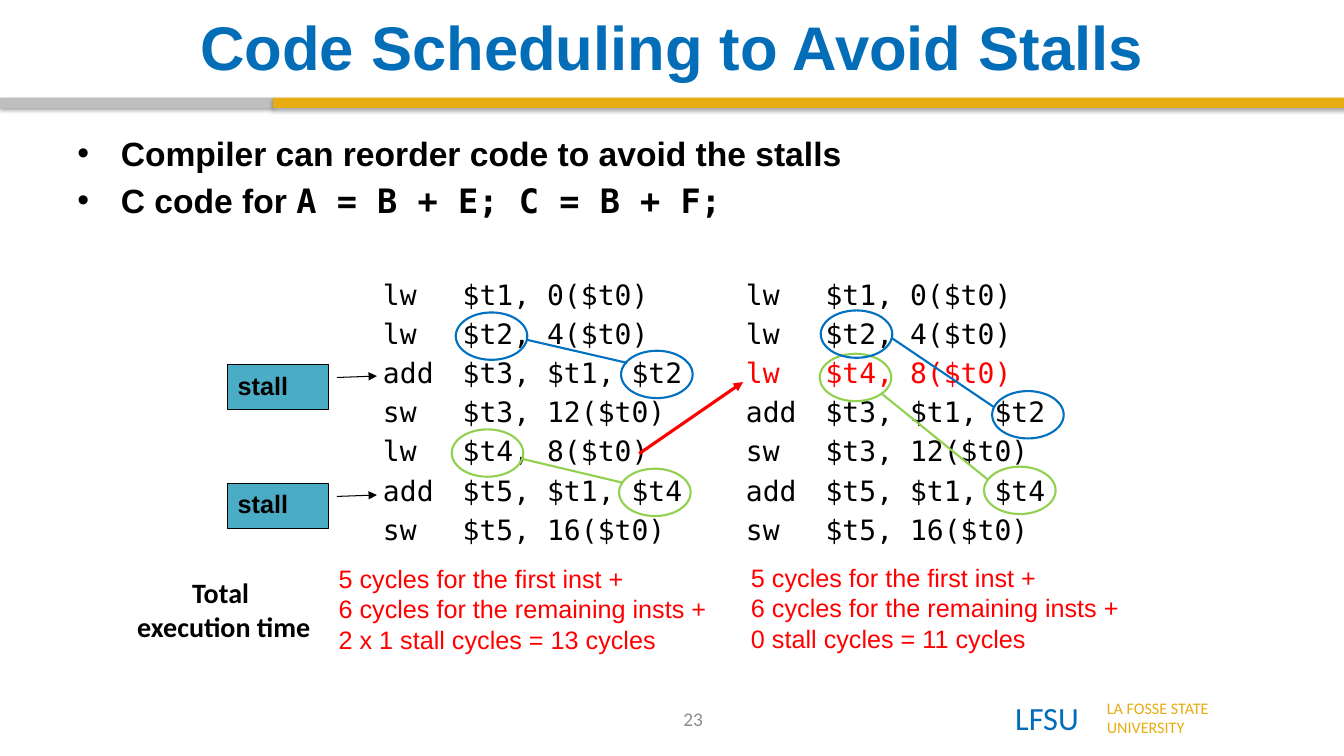
from lxml import etree
from pptx import Presentation
from pptx.dml.color import RGBColor
from pptx.enum.shapes import MSO_CONNECTOR, MSO_SHAPE
from pptx.enum.text import MSO_ANCHOR, PP_ALIGN
from pptx.oxml.ns import qn
from pptx.util import Inches, Pt

BLUE, GOLD, RED = "036DB7", "E7AC11", "FF0000"
RING_BLUE, RING_GREEN = "0070C0", "92D050"
MONO = "DejaVu Sans Mono"
RING_W, RING_H = 0.71, 0.47


def rgb(color):
    return RGBColor.from_string(color)


def add_xml(parent, tag, **attrs):
    return etree.SubElement(parent, qn(tag), attrs)


def style_run(r, size, color, font="Arial", bold=False):
    r.font.size, r.font.name, r.font.bold = Pt(size), font, bold
    r.font.color.rgb = rgb(color)


def add_text(s, box, lines, size, color, font="Arial", bold=False,
             align=PP_ALIGN.LEFT, anchor=MSO_ANCHOR.TOP, wrap=True):
    sp = s.shapes.add_textbox(*map(Inches, box))
    tf = sp.text_frame
    tf.text = "\n".join(lines)
    tf.word_wrap, tf.vertical_anchor = wrap, anchor
    for p in tf.paragraphs:
        p.alignment = align
        for r in p.runs:
            style_run(r, size, color, font, bold)
    return sp


def add_shape(s, kind, box, fill=None, line=None, width=1.5):
    sp = s.shapes.add_shape(kind, *map(Inches, box))
    sp.shadow.inherit = False
    if fill:
        sp.fill.solid()
        sp.fill.fore_color.rgb = rgb(fill)
    else:
        sp.fill.background()
    if line:
        sp.line.color.rgb, sp.line.width = rgb(line), Pt(width)
    else:
        sp.line.fill.background()
    return sp


def add_arrowhead(sp):
    add_xml(sp.line._get_or_add_ln(), "a:tailEnd", type="triangle")


def add_bar(s, left, width, color):
    sp = add_shape(s, MSO_SHAPE.RECTANGLE, (left, 0.97, width, 0.1), color)
    effects = sp._element.spPr.find(qn("a:effectLst"))
    shadow = add_xml(effects, "a:outerShdw", blurRad=str(Pt(3.1)), dist=str(Pt(1.8)),
                     dir="5400000", rotWithShape="0")
    black = add_xml(shadow, "a:srgbClr", val="000000")
    add_xml(black, "a:alpha", val="35000")


def add_line(s, start, end, color, width=1.5):
    line = s.shapes.add_connector(MSO_CONNECTOR.STRAIGHT, *map(Inches, start + end))
    line.line.color.rgb, line.line.width = rgb(color), Pt(width)
    add_xml(line._element.spPr, "a:effectLst")
    return line


def add_code(s, left, lines, moved=None):
    sp = add_text(s, (left, 2.7, 3.19, 2.86), lines, 20, "000000", MONO, wrap=False)
    sp.fill.solid()
    sp.fill.fore_color.rgb = rgb("FFFFFF")
    for i, p in enumerate(sp.text_frame.paragraphs):
        p.space_before = Pt(4)
        tabs = add_xml(p._p.get_or_add_pPr(), "a:tabLst")
        add_xml(tabs, "a:tab", pos=str(Inches(0.79)), algn="l")
        if i == moved:
            for r in p.runs:
                r.font.color.rgb = rgb(RED)


def add_stall(s, top):
    sp = add_shape(s, MSO_SHAPE.LINE_CALLOUT_1, (2.26, top, 1, 0.44), "4BACC6", "000000", 0.75)
    for i, value in enumerate((0.285, 1.083, 0.253, 1.479)):
        sp.adjustments[i] = value
    add_arrowhead(sp)
    tf = sp.text_frame
    tf.text = "stall"
    tf.vertical_anchor = MSO_ANCHOR.TOP
    p = tf.paragraphs[0]
    p.alignment = PP_ALIGN.LEFT
    style_run(p.runs[0], 18, "000000", bold=True)


def add_dependency(s, color, source, target, start, end):
    for corner in (source, target):
        add_shape(s, MSO_SHAPE.OVAL, corner + (RING_W, RING_H), line=color)
    add_line(s, start, end, color)


def add_bullets(s):
    lines = ["Compiler can reorder code to avoid the stalls", "C code for "]
    sp = add_text(s, (0.67, 1.27, 12, 1.1), lines, 24, "000000", bold=True)
    paragraphs = sp.text_frame.paragraphs
    for p in paragraphs:
        p.space_before = Pt(4.9)
        pPr = p._p.get_or_add_pPr()
        pPr.set("marL", str(Inches(0.43)))
        pPr.set("indent", str(Inches(-0.43)))
        add_xml(pPr, "a:buFont", typeface="Arial")
        add_xml(pPr, "a:buChar", char="•")
    r = paragraphs[1].add_run()
    r.text = "A = B + E; C = B + F;"
    style_run(r, 24, "000000", MONO, True)


def add_cycles(s, left, top, total):
    lines = ["5 cycles for the first inst +", "6 cycles for the remaining insts +", total]
    add_text(s, (left, top, 4.39, 1.01), lines, 18, RED)


def main():
    prs = Presentation()
    prs.slide_width, prs.slide_height = Inches(13.33), Inches(7.5)
    s = prs.slides.add_slide(prs.slide_layouts[6])

    add_text(s, (9.97, 6.88, 0.91, 0.49), ["LFSU"], 23.1, BLUE, "Calibri")
    add_text(s, (10.88, 6.88, 1.8, 0.49), ["LA FOSSE STATE", "UNIVERSITY"], 11.5, GOLD,
             "Calibri")
    add_bar(s, 0, 2.71, "BFBFBF")
    add_bar(s, 2.71, 10.62, GOLD)
    add_text(s, (0.67, 0.08, 12, 0.76), ["Code Scheduling to Avoid Stalls"], 44, BLUE,
             bold=True, align=PP_ALIGN.CENTER, anchor=MSO_ANCHOR.MIDDLE)

    code = ["lw\t$t1, 0($t0)", "lw\t$t2, 4($t0)", "add\t$t3, $t1, $t2", "sw\t$t3, 12($t0)",
            "lw\t$t4, 8($t0)", "add\t$t5, $t1, $t4", "sw\t$t5, 16($t0)"]
    add_code(s, 3.7, code)
    add_code(s, 7.3, code[:2] + code[4:5] + code[2:4] + code[5:], moved=2)
    for top in (3.62, 4.8):
        add_stall(s, top)

    add_cycles(s, 3.26, 5.54, "2 x 1 stall cycles = 13 cycles")
    add_text(s, (1.24, 5.66, 1.96, 0.8), ["Total ", "execution time"], 20, "000000",
             "Calibri", True, PP_ALIGN.CENTER, wrap=False)
    add_cycles(s, 7.35, 5.53, "0 stall cycles = 11 cycles")
    add_bullets(s)
    add_text(s, (5.32, 6.93, 3.11, 0.4), ["23"], 13.8, "8C8C8C", "Calibri",
             align=PP_ALIGN.CENTER, anchor=MSO_ANCHOR.MIDDLE)

    add_arrowhead(add_line(s, (6.34, 4.5), (7.37, 3.79), RED, 2.25))
    for dependency in (
        (RING_GREEN, (4.48, 4.26), (6.14, 4.65), (5.17, 4.55), (6.18, 4.79)),
        (RING_BLUE, (4.52, 3.1), (6.16, 3.48), (5.22, 3.37), (6.22, 3.6)),
        (RING_GREEN, (8.13, 3.51), (9.76, 4.63), (8.75, 3.91), (9.8, 4.76)),
        (RING_BLUE, (8.14, 3.08), (9.84, 3.88), (8.84, 3.35), (9.86, 4.04)),
    ):
        add_dependency(s, *dependency)

    prs.save("out.pptx")


if __name__ == "__main__":
    main()
